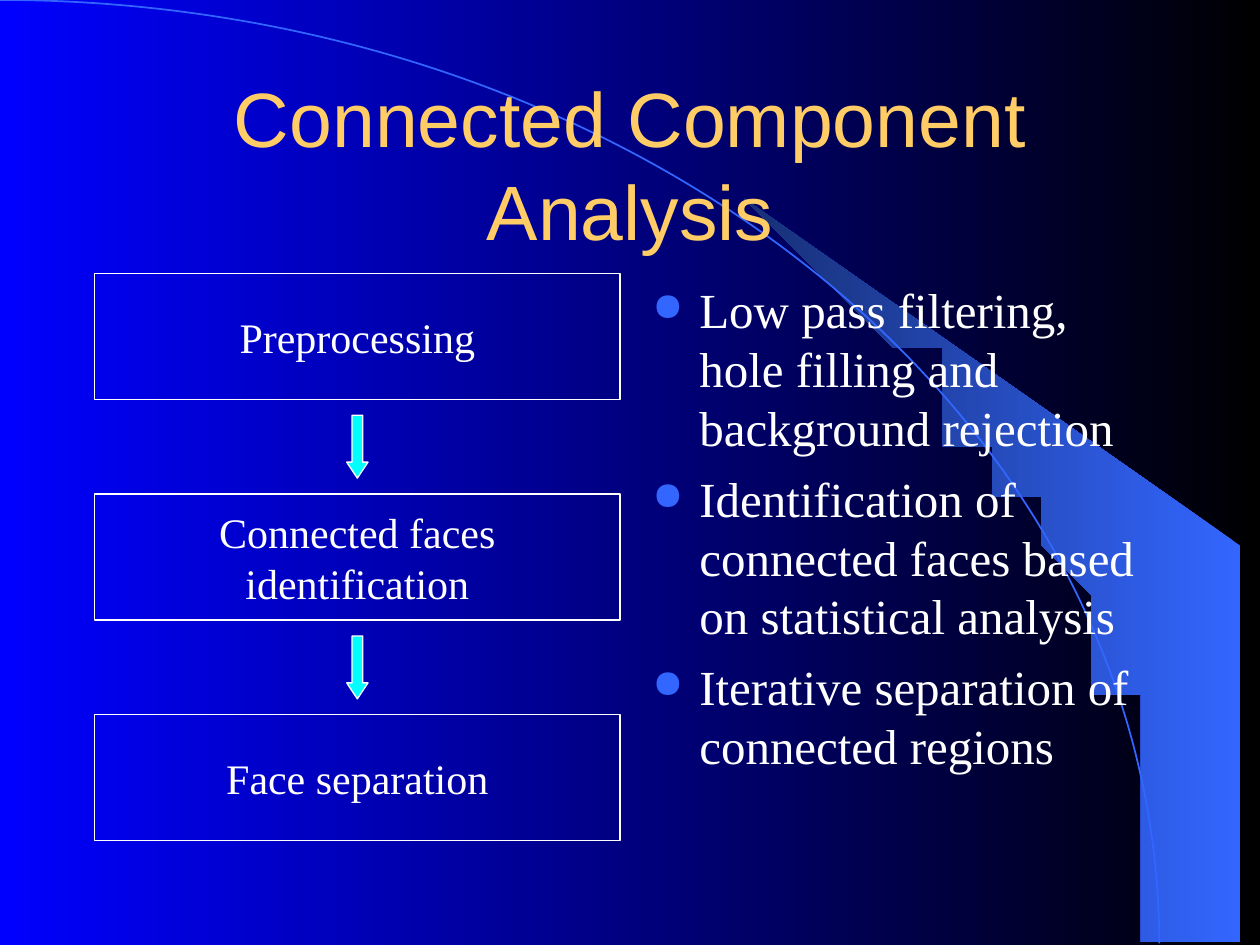
import math
from dataclasses import dataclass

import pptx
import pptx.dml.color
import pptx.enum.shapes
import pptx.enum.text
import pptx.oxml
import pptx.oxml.ns
import pptx.util
from pptx.util import Cm, Pt

SHAPE = pptx.enum.shapes.MSO_SHAPE
ALIGN = pptx.enum.text.PP_ALIGN
ANCHOR = pptx.enum.text.MSO_ANCHOR


@dataclass(frozen=True)
class Theme:
    """Colours, fonts and type sizes of the slide."""
    night: str = "000000"
    blue: str = "0000FF"
    accent: str = "3366FF"
    accent_dark: str = "172F75"
    title: str = "FFCC66"
    text: str = "FFFFFF"
    arrow: str = "00FFFF"
    title_font: str = "Arial"
    body_font: str = "Times New Roman"
    title_size: int = 44
    body_size: int = 28
    step_size: int = 24


THEME = Theme()
STEPS = ["Preprocessing", "Connected faces identification", "Face separation"]
POINTS = [
    "Low pass filtering, hole filling and background rejection",
    "Identification of connected faces based on statistical analysis",
    "Iterative separation of connected regions",
]
LEFT, TOP, COLUMN_WIDTH = Cm(1.91), Cm(5.51), Cm(10.59)
STEP_HEIGHT, STEP_PITCH = Cm(2.54), Cm(4.45)
ARROW_WIDTH, ARROW_HEIGHT = Cm(0.43), Cm(1.27)
ARC_WIDTH, ARC_HEIGHT = 23.37, 19.02


def rgb(value):
    """Return the colour for a hex string."""
    return pptx.dml.color.RGBColor.from_string(value)


def fill_gradient(fill, right, left):
    """Fill with a gradient that runs from right to left."""
    fill.gradient()
    fill.gradient_angle = 180
    for stop, color in zip(fill.gradient_stops, (right, left)):
        stop.color.rgb = rgb(color)


def style_shape(shape, color=None, line=None, width=0.75):
    """Set a flat fill and outline without a shadow."""
    shape.shadow.inherit = False
    if color:
        shape.fill.solid()
        shape.fill.fore_color.rgb = rgb(color)
    else:
        shape.fill.background()
    shape.line.color.rgb = rgb(line)
    shape.line.width = Pt(width)


def style_paragraph(para, font, size, color, before=0, align=None):
    """Set the type and spacing of a paragraph."""
    para.alignment = align
    para.space_before = Pt(before)
    para.font.name = font
    para.font.size = Pt(size)
    para.font.color.rgb = rgb(color)


def add_bullet(para):
    """Give a paragraph a round accent bullet with a hanging indent."""
    properties = para._p.get_or_add_pPr()
    properties.set("marL", str(Cm(0.95)))
    properties.set("indent", str(-Cm(0.95)))
    namespace = pptx.oxml.ns.nsdecls("a")
    for xml in (
        f'<a:buClr {namespace}><a:srgbClr val="{THEME.accent}"/></a:buClr>',
        f'<a:buSzPct {namespace} val="80000"/>',
        f'<a:buChar {namespace} char="●"/>',
    ):
        properties.append(pptx.oxml.parse_xml(xml))


def add_swoosh(page):
    """Draw the glowing wedge and the quarter arc that bounds it."""
    start = math.radians(39.8)
    angles = [start + (math.pi / 2 - start) * i / 24 for i in range(25)]
    curve = [(ARC_WIDTH * math.sin(a), ARC_HEIGHT * (1 - math.cos(a))) for a in angles]
    builder = page.shapes.build_freeform(*curve[0], scale=Cm(1))
    builder.add_line_segments(curve[1:] + [(25.37, ARC_HEIGHT), (25.37, 10.74)])
    wedge = builder.convert_to_shape()
    wedge.shadow.inherit = False
    fill_gradient(wedge.fill, THEME.accent, THEME.accent_dark)
    wedge.line.fill.background()
    arc = page.shapes.add_shape(
        SHAPE.ARC, Cm(-ARC_WIDTH), 0, Cm(2 * ARC_WIDTH), Cm(2 * ARC_HEIGHT))
    style_shape(arc, line=THEME.accent, width=1)


def place_title(page, text):
    """Move the title placeholder to the front and format it."""
    title = page.shapes.title
    title.element.getparent().append(title.element)
    title.left, title.top = LEFT, Cm(1.7)
    title.width, title.height = Cm(21.59), Cm(3.18)
    frame = title.text_frame
    frame.text = text
    frame.word_wrap = True
    frame.auto_size = pptx.enum.text.MSO_AUTO_SIZE.NONE
    frame.vertical_anchor = ANCHOR.MIDDLE
    style_paragraph(frame.paragraphs[0], THEME.title_font, THEME.title_size,
                    THEME.title, align=ALIGN.CENTER)


def add_points(page, points):
    """Add the bulleted explanations in the right column."""
    box = page.shapes.add_textbox(Cm(12.9), TOP, COLUMN_WIDTH, Cm(11.43))
    frame = box.text_frame
    frame.word_wrap = True
    frame.text = "\n".join(points)
    for para in frame.paragraphs:
        add_bullet(para)
        style_paragraph(para, THEME.body_font, THEME.body_size, THEME.text, before=7)


def add_step(page, text, top):
    """Add one outlined step of the process."""
    box = page.shapes.add_shape(SHAPE.RECTANGLE, LEFT, top, COLUMN_WIDTH, STEP_HEIGHT)
    style_shape(box, line=THEME.text)
    frame = box.text_frame
    frame.word_wrap = True
    frame.vertical_anchor = ANCHOR.MIDDLE
    frame.text = text
    style_paragraph(frame.paragraphs[0], THEME.body_font, THEME.step_size,
                    THEME.text, before=15, align=ALIGN.CENTER)


def add_arrow(page, middle):
    """Add a down arrow centred on a height between two steps."""
    arrow = page.shapes.add_shape(
        SHAPE.DOWN_ARROW, LEFT + (COLUMN_WIDTH - ARROW_WIDTH) // 2,
        middle - ARROW_HEIGHT // 2, ARROW_WIDTH, ARROW_HEIGHT)
    arrow.adjustments[1] = 0.75
    style_shape(arrow, THEME.arrow, THEME.text)


def main():
    """Build the slide and save it."""
    deck = pptx.Presentation()
    deck.slide_width, deck.slide_height = Cm(25.4), Cm(19.05)
    page = deck.slides.add_slide(deck.slide_layouts[5])
    fill_gradient(page.background.fill, THEME.night, THEME.blue)
    add_swoosh(page)
    place_title(page, "Connected Component Analysis")
    add_points(page, POINTS)
    tops = [TOP + i * STEP_PITCH for i in range(len(STEPS))]
    for text, top in zip(STEPS, tops):
        add_step(page, text, top)
    for top in tops[:-1]:
        add_arrow(page, top + (STEP_HEIGHT + STEP_PITCH) // 2)
    deck.save("out.pptx")


if __name__ == "__main__":
    main()
